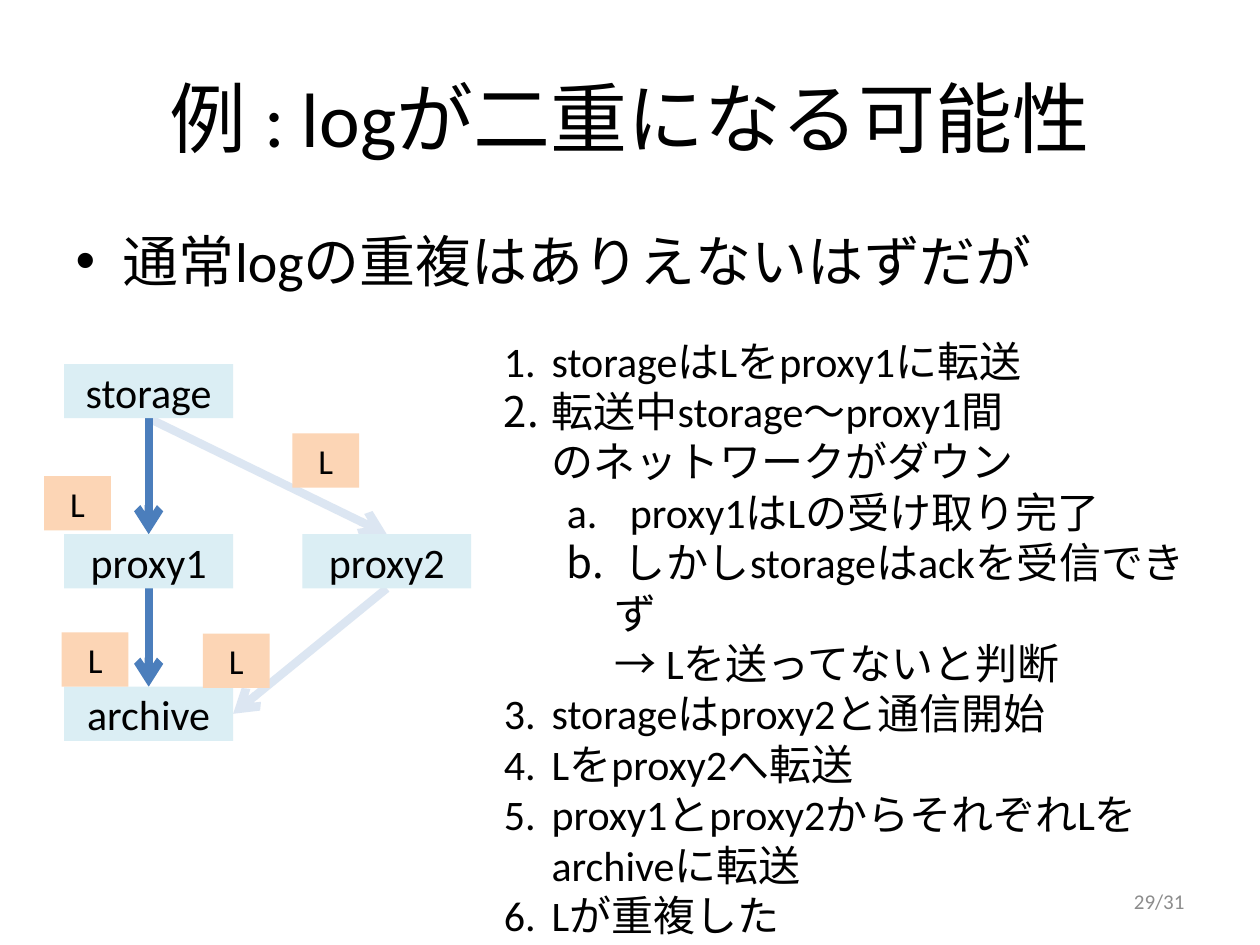
from lxml import etree
from pptx import Presentation
from pptx.dml.color import RGBColor
from pptx.enum.shapes import MSO_CONNECTOR, MSO_SHAPE
from pptx.enum.text import MSO_ANCHOR, MSO_AUTO_SIZE, PP_ALIGN
from pptx.oxml.ns import qn
from pptx.util import Inches, Pt

STRAIGHT = MSO_CONNECTOR.STRAIGHT
RECTANGLE = MSO_SHAPE.RECTANGLE
MIDDLE, TOP = MSO_ANCHOR.MIDDLE, MSO_ANCHOR.TOP
LEFT, CENTER, RIGHT = PP_ALIGN.LEFT, PP_ALIGN.CENTER, PP_ALIGN.RIGHT
GROW = MSO_AUTO_SIZE.SHAPE_TO_FIT_TEXT

FONT = "Calibri"
COLORS = {
    "text": "000000",
    "page": "8C8C8C",
    "node": "DBEEF4",
    "log": "FCD5B5",
    "active": "4B7EBC",
    "inactive": "DCE6F2",
}

NODE_WIDTH, LOG_WIDTH, BOX_HEIGHT = 1.34, 0.53, 0.43
LEFT_COLUMN, RIGHT_COLUMN = 0.51, 2.4
STORAGE_TOP, PROXY_TOP, ARCHIVE_TOP = 2.89, 4.24, 5.45
NODES = [
    ("storage", LEFT_COLUMN, STORAGE_TOP),
    ("proxy2", RIGHT_COLUMN, PROXY_TOP),
    ("proxy1", LEFT_COLUMN, PROXY_TOP),
    ("archive", LEFT_COLUMN, ARCHIVE_TOP),
]
LOGS = [(0.35, 3.78), (2.32, 3.44), (0.49, 5.02), (1.61, 5.03)]
STEPS = [
    (0, 0.38, -0.38, "storageはLをproxy1に転送"),
    (0, 0.38, -0.38, "転送中storage～proxy1間\nのネットワークがダウン"),
    (1, 1, -0.5, "proxy1はLの受け取り完了"),
    (1, 0.88, -0.38, " しかしstorageはackを受信できず\n→ Lを送ってないと判断"),
    (0, 0.38, -0.38, "storageはproxy2と通信開始"),
    (0, 0.38, -0.38, "Lをproxy2へ転送"),
    (0, 0.38, -0.38, "proxy1とproxy2からそれぞれLをarchiveに転送"),
    (0, 0.38, -0.38, "Lが重複した"),
]
NUMBERING = ["arabicPeriod", "alphaLcPeriod"]


class SlideBuilder:
    """Adds consistently styled elements to one slide."""

    def __init__(self, slide):
        self.slide = slide

    def format_text(self, text_frame, size, color="text", align=LEFT, anchor=TOP):
        text_frame.word_wrap = True
        text_frame.vertical_anchor = anchor
        for paragraph in text_frame.paragraphs:
            paragraph.alignment = align
            for run in paragraph.runs:
                run.font.name = FONT
                run.font.size = Pt(size)
                run.font.color.rgb = RGBColor.from_string(COLORS[color])

    def placeholder(self, index, box, text, size, align, anchor):
        shape = self.slide.placeholders[index]
        shape.left, shape.top, shape.width, shape.height = map(Inches, box)
        shape.text_frame.text = text
        self.format_text(shape.text_frame, size, align=align, anchor=anchor)

    def arrow(self, start, end, color):
        connector = self.slide.shapes.add_connector(
            STRAIGHT, *map(Inches, (*start, *end))
        )
        connector.line.width = Pt(4.75)
        connector.line.color.rgb = RGBColor.from_string(COLORS[color])
        line = connector.line._get_or_add_ln()
        etree.SubElement(line, qn("a:tailEnd"), type="arrow")
        etree.SubElement(connector._element.spPr, qn("a:effectLst"))

    def box(self, left, top, width, text, size, fill):
        shape = self.slide.shapes.add_shape(
            RECTANGLE, *map(Inches, (left, top, width, BOX_HEIGHT))
        )
        shape.shadow.inherit = False
        shape.fill.solid()
        shape.fill.fore_color.rgb = RGBColor.from_string(COLORS[fill])
        shape.line.fill.background()
        shape.text_frame.text = text
        self.format_text(shape.text_frame, size, align=CENTER, anchor=MIDDLE)

    def text(self, box, text, size, color, align, anchor):
        shape = self.slide.shapes.add_textbox(*map(Inches, box))
        shape.text_frame.text = text
        self.format_text(shape.text_frame, size, color, align, anchor)

    def numbered_list(self, box, steps, size):
        text_frame = self.slide.shapes.add_textbox(*map(Inches, box)).text_frame
        for position, (level, margin, indent, text) in enumerate(steps):
            paragraph = text_frame.add_paragraph() if position else text_frame.paragraphs[0]
            paragraph.text = text
            paragraph.level = level
            properties = paragraph._p.get_or_add_pPr()
            properties.set("marL", str(Inches(margin)))
            properties.set("indent", str(Inches(indent)))
            etree.SubElement(properties, qn("a:buFont"), typeface="+mj-lt")
            etree.SubElement(properties, qn("a:buAutoNum"), type=NUMBERING[level])
        self.format_text(text_frame, size)
        text_frame.auto_size = GROW


def main():
    presentation = Presentation()
    presentation.slide_width, presentation.slide_height = Inches(10), Inches(7.5)
    slide = presentation.slides.add_slide(presentation.slide_layouts[1])
    builder = SlideBuilder(slide)

    builder.placeholder(
        0, (0.5, 0.3, 9, 1.25), "例 : logが二重になる可能性", 44, CENTER, MIDDLE
    )
    builder.placeholder(
        1, (0.5, 1.75, 9, 4.95), "通常logの重複はありえないはずだが", 32, LEFT, TOP
    )

    left_center = LEFT_COLUMN + NODE_WIDTH / 2
    right_center = RIGHT_COLUMN + NODE_WIDTH / 2
    storage_exit = (left_center, STORAGE_TOP + BOX_HEIGHT)
    proxy_bottom = PROXY_TOP + BOX_HEIGHT
    archive_side = (LEFT_COLUMN + NODE_WIDTH, ARCHIVE_TOP + BOX_HEIGHT / 2)
    builder.arrow((left_center, proxy_bottom), (left_center, ARCHIVE_TOP), "active")
    builder.arrow((right_center, proxy_bottom), archive_side, "inactive")
    builder.arrow(storage_exit, (right_center, PROXY_TOP), "inactive")
    builder.arrow(storage_exit, (left_center, PROXY_TOP), "active")

    for name, left, top in NODES:
        builder.box(left, top, NODE_WIDTH, name, 24, "node")
    for left, top in LOGS:
        builder.box(left, top, LOG_WIDTH, "L", 20, "log")

    builder.numbered_list((3.9, 2.61, 5.83, 4.54), STEPS, 24)
    builder.text((7.17, 6.95, 2.33, 0.4), "29/31", 12, "page", RIGHT, MIDDLE)
    presentation.save("out.pptx")


if __name__ == "__main__":
    main()
